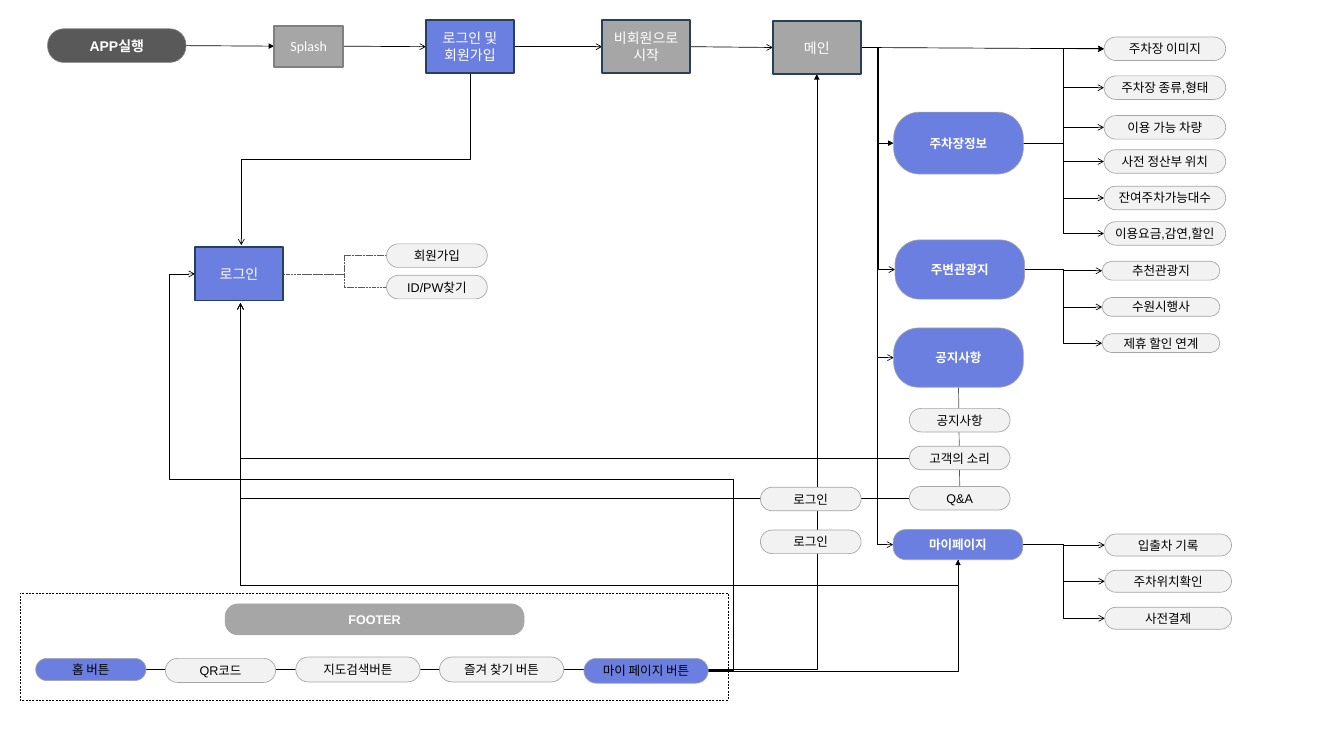
import pptx
import pptx.util
import pptx.oxml
import pptx.oxml.ns
from pptx.dml.color import RGBColor
from pptx.enum.dml import MSO_LINE
from pptx.enum.shapes import MSO_CONNECTOR, MSO_SHAPE
from pptx.enum.text import MSO_ANCHOR, PP_ALIGN

Cm, Pt, qn = pptx.util.Cm, pptx.util.Pt, pptx.oxml.ns.qn

COLORS = {"white": "FFFFFF", "black": "000000", "blue": "6B7FE1", "navy": "27405E",
          "pale": "F2F2F2", "silver": "A6A6A6", "gray": "808080", "dark": "595959"}

# style: fill, outline, outline width, corner, text colour, size, font, bold
STYLES = {
    "start": ("dark", "gray", 0.75, 0.479, "white", 15, "Arial", True),
    "screen": ("blue", "navy", 2, None, "white", 15, "Calibri", False),
    "gray screen": ("silver", "navy", 2, None, "white", 15, "Calibri", False),
    "splash": ("silver", "gray", 2, None, "white", 15, "Calibri", False),
    "section": ("blue", "silver", 0.75, 0.417, "white", 13.5, "Arial", True),
    "footer": ("silver", "silver", 0.75, 0.417, "white", 13.5, "Arial", True),
    "leaf": ("pale", "silver", 0.75, 0.5, "black", 13.5, "Arial", False),
    "button": ("blue", "silver", 0.75, 0.5, "black", 13.5, "Arial", False),
}

# name: style, text, left, top, width, height (cm)
BOXES = {
    "start": ("start", "APP실행", 1.8, 1.09, 5.23, 1.27),
    "splash": ("splash", "Splash", 10.36, 0.97, 2.62, 1.55),
    "join": ("screen", "로그인 및 회원가입", 16.1, 0.76, 3.33, 2.01),
    "guest": ("gray screen", "비회원으로시작", 22.76, 0.76, 3.33, 2.01),
    "main": ("gray screen", "메인", 29.21, 0.79, 3.33, 2.01),
    "login": ("screen", "로그인", 7.37, 9.35, 3.33, 2.01),
    "parking": ("section", "주차장정보", 33.78, 4.24, 4.9, 2.34),
    "tour": ("section", "주변관광지", 33.83, 9.07, 4.9, 2.24),
    "notice": ("section", "공지사항", 33.78, 12.4, 4.9, 2.24),
    "my page": ("section", "마이페이지", 33.76, 20.02, 4.9, 1.14),
    "footer": ("footer", "FOOTER", 8.51, 22.83, 11.3, 1.17),
    "home": ("button", "홈 버튼", 1.35, 24.89, 4.17, 0.84),
    "qr": ("leaf", "QR코드", 6.25, 24.89, 4.17, 0.91),
    "map": ("leaf", "지도검색버튼", 11.18, 24.84, 4.7, 0.94),
    "favorites": ("leaf", "즐겨 찾기 버튼", 16.61, 24.84, 4.7, 0.94),
    "my button": ("button", "마이 페이지 버튼", 22.07, 24.89, 4.7, 0.94),
}

# parent: left, width, height, [(text, top)]
LEAVES = {
    "login": (14.61, 3.81, 0.89, [("회원가입", 9.22), ("ID/PW찾기", 10.41)]),
    "parking": (41.73, 4.6, 0.89, [
        ("주차장 이미지", 1.4), ("주차장 종류,형태", 2.87), ("이용 가능 차량", 4.37),
        ("사전 정산부 위치", 5.66), ("잔여주차가능대수", 7.04), ("이용요금,감연,할인", 8.38)]),
    "tour": (41.66, 4.45, 0.71, [
        ("추천관광지", 9.88), ("수원시행사", 11.25), ("제휴 할인 연계", 12.62)]),
    "notice": (34.37, 3.81, 0.89, [
        ("공지사항", 15.44), ("고객의 소리", 16.87), ("Q&A", 18.39)]),
    "my page": (41.76, 4.79, 0.83, [
        ("입출차 기록", 20.19), ("주차위치확인", 21.56), ("사전결제", 22.96)]),
    "main": (28.74, 3.81, 0.89, [("로그인", 18.42), ("로그인", 20.04)]),
}
for parent, (left, width, height, items) in LEAVES.items():
    for number, (text, top) in enumerate(items):
        BOXES[parent, number] = ("leaf", text, left, top, width, height)


def color(name):
    return RGBColor.from_string(COLORS[name])


def edge(name, side):
    left, top, width, height = BOXES[name][2:]
    return {"left": (left, top + height / 2), "right": (left + width, top + height / 2),
            "top": (left + width / 2, top), "bottom": (left + width / 2, top + height)}[side]


def add_box(slide, style, text, left, top, width, height):
    fill, outline, weight, corner, ink, size, font, bold = STYLES[style]
    kind = MSO_SHAPE.ROUNDED_RECTANGLE if corner else MSO_SHAPE.RECTANGLE
    box = slide.shapes.add_shape(kind, Cm(left), Cm(top), Cm(width), Cm(height))
    box.shadow.inherit = False
    if corner:
        box.adjustments[0] = corner
    box.fill.solid()
    box.fill.fore_color.rgb = color(fill)
    box.line.color.rgb = color(outline)
    box.line.width = Pt(weight)
    frame = box.text_frame
    frame.word_wrap = True
    frame.vertical_anchor = MSO_ANCHOR.MIDDLE
    frame.margin_left = frame.margin_right = Cm(0.08 if corner else 0.38)
    frame.margin_top = frame.margin_bottom = Cm(0.08 if corner else 0.18)
    frame.text = text
    para = frame.paragraphs[0]
    para.alignment = PP_ALIGN.CENTER
    span = para.runs[0]
    span.font.size, span.font.name, span.font.bold = Pt(size), font, bold
    span.font.color.rgb = color(ink)


def add_link(slide, start, end, preset="line", bends=(), head="arrow",
             ink="black", weight=0.75, dash=None, upright=False):
    """Draw a connector; an upright one leaves its start vertically."""
    if upright:
        mid_x, mid_y = (start[0] + end[0]) / 2, (start[1] + end[1]) / 2
        start, end = [(mid_x + y - mid_y, mid_y - x + mid_x) for x, y in (start, end)]
    kind = MSO_CONNECTOR.STRAIGHT if preset == "line" else MSO_CONNECTOR.ELBOW
    link = slide.shapes.add_connector(kind, *[Cm(value) for value in (*start, *end)])
    link.line.color.rgb = color(ink)
    link.line.width = Pt(weight)
    if dash:
        link.line.dash_style = dash
    properties = link.element.spPr
    if upright:
        properties.find(qn("a:xfrm")).set("rot", "5400000")
    geometry = properties.find(qn("a:prstGeom"))
    geometry.set("prst", preset)
    guides = geometry.find(qn("a:avLst"))
    for number, bend in enumerate(bends, 1):
        guide = guides.makeelement(qn("a:gd"), {
            "name": f"adj{number}", "fmla": f"val {round(bend * 100000)}"})
        guides.append(guide)
    line = properties.find(qn("a:ln"))
    if head:
        line.append(line.makeelement(qn("a:tailEnd"), {"type": head}))
    properties.append(properties.makeelement(qn("a:effectLst"), {}))


def main():
    deck = pptx.Presentation()
    deck.slide_width, deck.slide_height = Cm(50.8), Cm(28.58)
    slide = deck.slides.add_slide(deck.slide_layouts[6])

    # Dashed footer frame
    frame = slide.shapes.add_shape(
        MSO_SHAPE.RECTANGLE, Cm(0.76), Cm(22.43), Cm(26.77), Cm(4.04))
    frame.shadow.inherit = False
    frame.fill.solid()
    frame.fill.fore_color.rgb = color("white")
    frame.line.color.rgb = color("black")
    frame.line.width = Pt(0.5)
    frame.line.dash_style = MSO_LINE.DASH

    # Top row of screens
    for source, target, head in [("start", "splash", "triangle"), ("splash", "join", "arrow"),
                                 ("join", "guest", "arrow"), ("guest", "main", "arrow")]:
        add_link(slide, edge(source, "right"), edge(target, "left"), head=head)
    add_link(slide, edge("main", "right"), edge(("parking", 0), "left"), head="triangle")

    # Main screen to sections, sections to leaves
    for section in ("parking", "tour", "notice", "my page"):
        add_link(slide, edge("main", "right"), edge(section, "left"), "bentConnector3",
                 head="triangle" if section == "parking" else "arrow")
    for section in ("parking", "tour", "my page"):
        for number in range(len(LEAVES[section][3])):
            add_link(slide, edge(section, "right"), edge((section, number), "left"),
                     "bentConnector3")
    add_link(slide, edge("notice", "bottom"), edge(("notice", 2), "top"),
             head=None, ink="dark")

    # Login options share one dashed trunk
    trunk = 13.0
    for number, start_x in enumerate((11.4, 10.69)):
        end = edge(("login", number), "left")
        add_link(slide, (start_x, 10.36), end, "bentConnector3",
                 [(trunk - start_x) / (end[0] - start_x)], None, "dark",
                 dash=MSO_LINE.SQUARE_DOT)

    # Routes to the login screen
    below_login = (9.09, 11.46)
    add_link(slide, edge("join", "bottom"), (9.12, 9.27), "bentConnector3", upright=True)
    for number in (1, 2):
        add_link(slide, edge(("notice", number), "left"), below_login, "bentConnector2")
    add_link(slide, edge("my page", "bottom"), below_login, "bentConnector3", [-0.098],
             upright=True)
    add_link(slide, edge("my button", "right"), edge("login", "left"), "bentConnector5",
             [-0.049, 0.482, 1.049])

    # Footer buttons to the main screen and my page
    add_link(slide, edge("home", "right"), edge("main", "bottom"), "bentConnector2",
             head="triangle")
    add_link(slide, edge("my button", "right"), edge("my page", "bottom"), "bentConnector2",
             head="triangle", weight=0.25)

    # Boxes above the lines
    for box in BOXES.values():
        add_box(slide, *box)

    deck.save("out.pptx")


if __name__ == "__main__":
    main()
